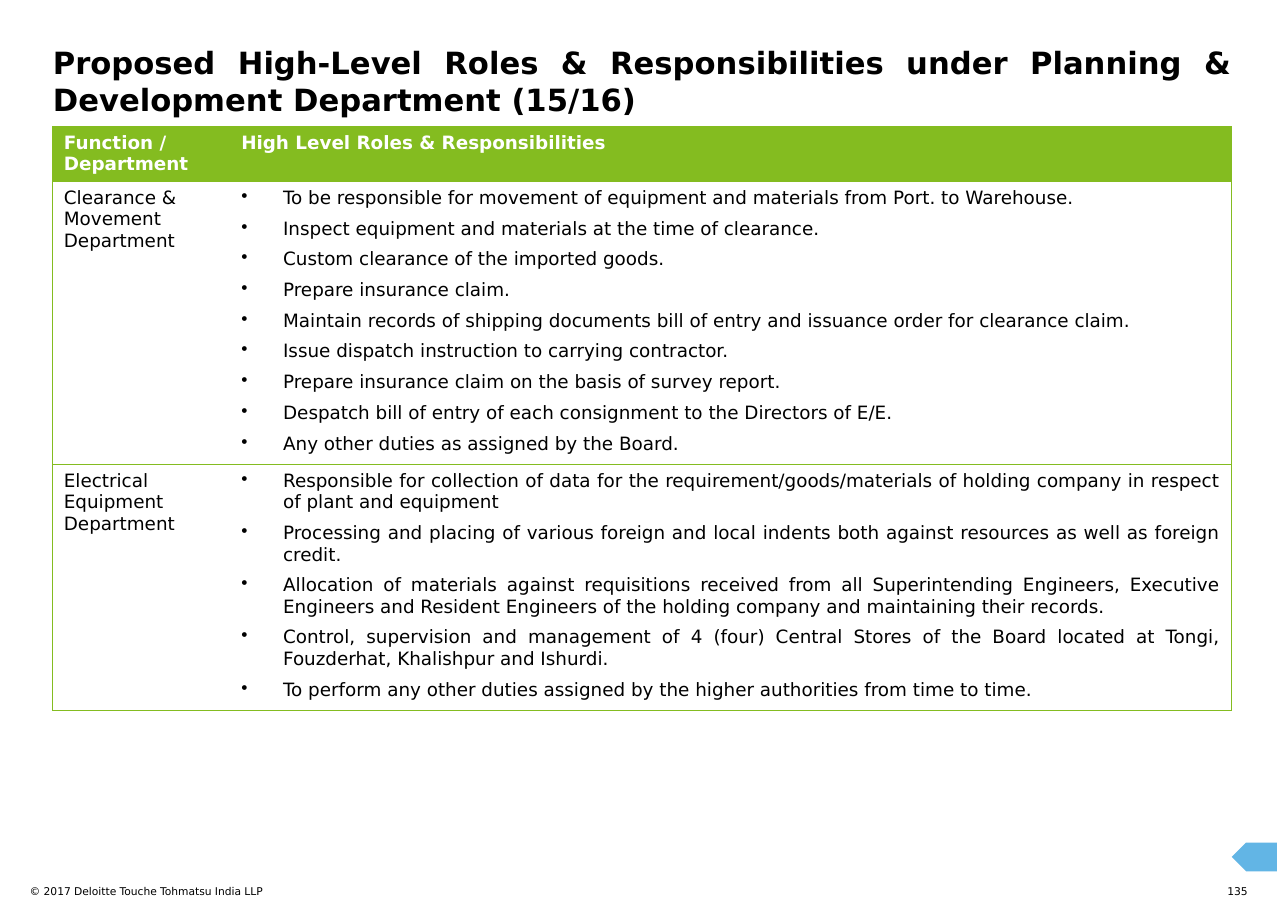
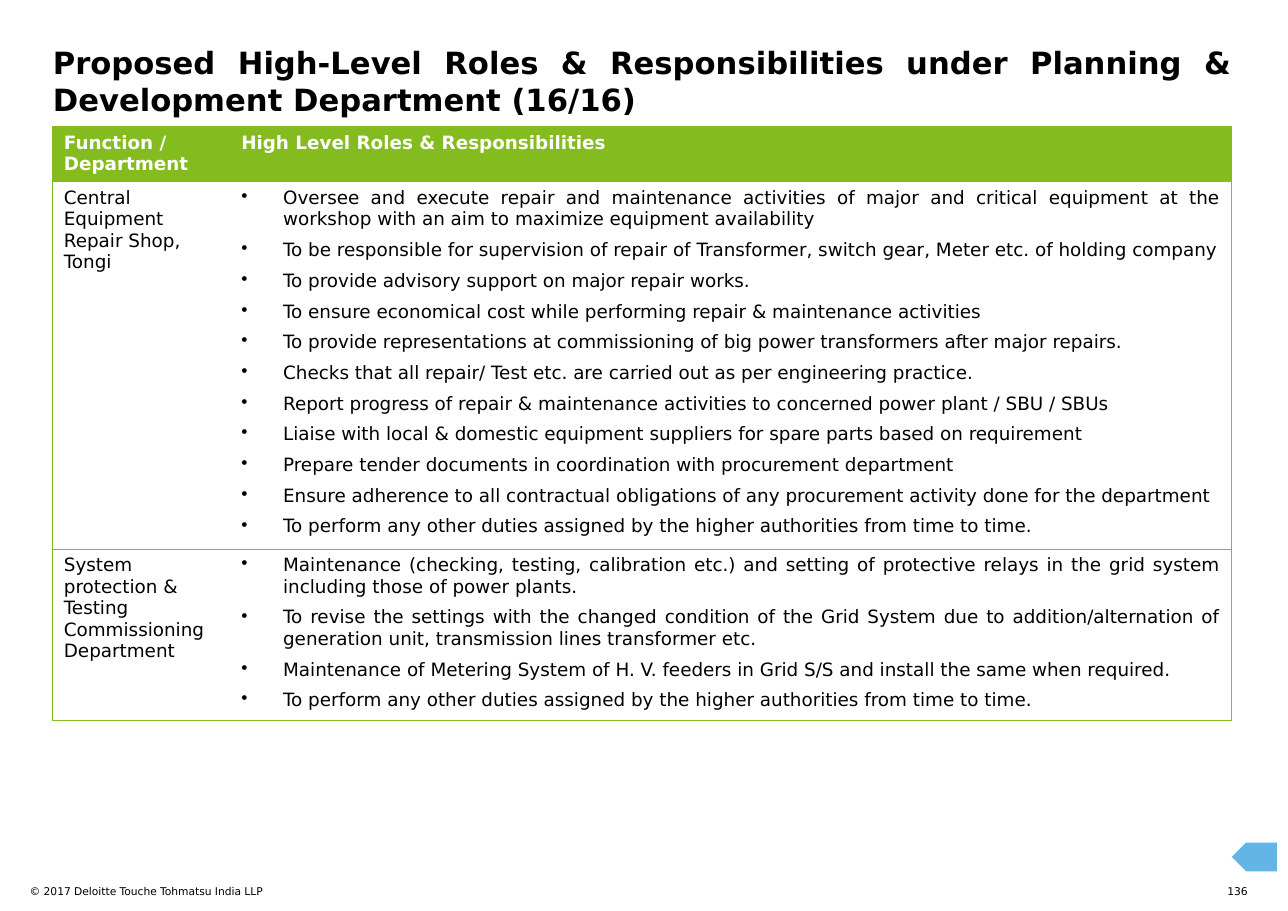
from lxml.etree import SubElement
from pptx import Presentation
from pptx.dml.color import RGBColor
from pptx.enum.shapes import MSO_SHAPE as Preset
from pptx.enum.text import PP_ALIGN as Align
from pptx.oxml.ns import qn
from pptx.util import Inches, Pt

GREEN = RGBColor(0x84, 0xBC, 0x20)
BLUE = RGBColor(0x62, 0xB5, 0xE5)
BLACK = RGBColor(0, 0, 0)
WHITE = RGBColor(0xFF, 0xFF, 0xFF)
FONT = "DejaVu Sans"

SLIDE_W, SLIDE_H = Inches(11.69), Inches(8.27)
MARGIN = Inches(0.48)
COLUMNS = (Inches(1.61), Inches(9.09))
CONTENT_W = sum(COLUMNS)
TITLE_TOP, TABLE_TOP, FOOTER_TOP = Inches(0.4), Inches(1.15), Inches(8.03)
HEADER_H = Inches(0.5)
BULLET_INDENT = Inches(0.38)
BODY_SIZE, FOOTER_SIZE = 12, 7

TITLE = "Proposed High-Level Roles & Responsibilities under Planning & Development Department"
HEADERS = ("Function / Department", "High Level Roles & Responsibilities")
COPYRIGHT = "© 2017 Deloitte Touche Tohmatsu India LLP"
FIRST_PAGE, FIRST_PART, PARTS = 135, 15, 16
OTHER_DUTIES = "To perform any other duties assigned by the higher authorities from time to time."

# Each slide lists (department, row height in inches, duties).
SLIDES = [
    [
        ("Clearance & Movement Department", 2.52, [
            "To be responsible for movement of equipment and materials from Port. to Warehouse.",
            "Inspect equipment and materials at the time of clearance.",
            "Custom clearance of the imported goods.",
            "Prepare insurance claim.",
            "Maintain records of shipping documents bill of entry and issuance order for clearance claim.",
            "Issue dispatch instruction to carrying contractor.",
            "Prepare insurance claim on the basis of survey report.",
            "Despatch bill of entry of each consignment to the Directors of E/E.",
            "Any other duties as assigned by the Board.",
        ]),
        ("Electrical Equipment Department", 2.18, [
            "Responsible for collection of data for the requirement/goods/materials of holding company "
            "in respect of plant and equipment",
            "Processing and placing of various foreign and local indents both against resources "
            "as well as foreign credit.",
            "Allocation of materials against requisitions received from all Superintending Engineers, "
            "Executive Engineers and Resident Engineers of the holding company and maintaining their records.",
            "Control, supervision and management of 4 (four) Central Stores of the Board located at "
            "Tongi, Fouzderhat, Khalishpur and Ishurdi.",
            OTHER_DUTIES,
        ]),
    ],
    [
        ("Central Equipment Repair Shop, Tongi", 3.27, [
            "Oversee and execute repair and maintenance activities of major and critical equipment at "
            "the workshop with an aim to maximize equipment availability",
            "To be responsible for supervision of repair of Transformer, switch gear, Meter etc. "
            "of holding company",
            "To provide advisory support on major repair works.",
            "To ensure economical cost while performing repair & maintenance activities",
            "To provide representations at commissioning of big power transformers after major repairs.",
            "Checks that all repair/ Test etc. are carried out as per engineering practice.",
            "Report progress of repair & maintenance activities to concerned power plant / SBU / SBUs",
            "Liaise with local & domestic equipment suppliers for spare parts based on requirement",
            "Prepare tender documents in coordination with procurement department",
            "Ensure adherence to all contractual obligations of any procurement activity done "
            "for the department",
            OTHER_DUTIES,
        ]),
        ("System protection & Testing Commissioning Department", 1.52, [
            "Maintenance (checking, testing, calibration etc.) and setting of protective relays in "
            "the grid system including those of power plants.",
            "To revise the settings with the changed condition of the Grid System due to "
            "addition/alternation of generation unit, transmission lines transformer etc.",
            "Maintenance of Metering System of H. V. feeders in Grid S/S and install the same when required.",
            OTHER_DUTIES,
        ]),
    ],
]


def add_run(paragraph, text, size, color=BLACK, bold=False):
    run = paragraph.add_run()
    run.text = text
    font = run.font
    font.name, font.size, font.bold = FONT, Pt(size), bold
    font.color.rgb = color


def add_line(slide, box, text, size, align=Align.LEFT, bold=False):
    """Add one paragraph in a text box without insets."""
    frame = slide.shapes.add_textbox(*box).text_frame
    frame.word_wrap = True
    frame.margin_left = frame.margin_right = frame.margin_top = frame.margin_bottom = 0
    paragraph = frame.paragraphs[0]
    paragraph.alignment = align
    add_run(paragraph, text, size, bold=bold)
    return paragraph


def add_title(slide, part):
    box = (MARGIN, TITLE_TOP, CONTENT_W, Inches(0.7))
    title = add_line(slide, box, f"{TITLE} ({part}/{PARTS})", 20, Align.JUSTIFY, bold=True)
    title.line_spacing = Pt(24)


def add_footer(slide, page):
    add_line(slide, (Inches(0.27), FOOTER_TOP, Inches(5.13), Inches(0.24)), COPYRIGHT, FOOTER_SIZE)
    add_line(slide, (Inches(11.14), FOOTER_TOP, Inches(0.4), Inches(0.12)), str(page), FOOTER_SIZE)


def add_back_arrow(slide):
    arrow = slide.shapes.add_shape(
        Preset.PENTAGON, MARGIN + CONTENT_W, Inches(7.65), Inches(0.41), Inches(0.26))
    arrow.shadow.inherit = False
    arrow.fill.solid()
    arrow.fill.fore_color.rgb = BLUE
    arrow.line.fill.background()
    arrow.element.spPr.xfrm.set("flipH", "1")


def set_borders(cell, is_first, is_last):
    """Rule every edge of a cell except the one between the two columns."""
    tc_pr = cell._tc.get_or_add_tcPr()
    for side, ruled in (("L", is_first), ("R", is_last), ("T", True), ("B", True)):
        line = SubElement(tc_pr, qn(f"a:ln{side}"), w=str(Pt(0.75)))
        if ruled:
            fill = SubElement(line, qn("a:solidFill"))
            SubElement(fill, qn("a:srgbClr"), val=str(GREEN))
        else:
            SubElement(line, qn("a:noFill"))


def fill_bullets(frame, duties):
    for index, duty in enumerate(duties):
        paragraph = frame.add_paragraph() if index else frame.paragraphs[0]
        p_pr = paragraph._p.get_or_add_pPr()
        p_pr.set("marL", str(BULLET_INDENT))
        p_pr.set("indent", str(-BULLET_INDENT))
        SubElement(p_pr, qn("a:buChar"), char="•")
        paragraph.alignment = Align.JUSTIFY
        if index:
            paragraph.space_before = Pt(6)
        add_run(paragraph, duty, BODY_SIZE)


def add_roles_table(slide, departments):
    heights = [HEADER_H] + [Inches(height) for _, height, _ in departments]
    table = slide.shapes.add_table(
        len(heights), len(COLUMNS), MARGIN, TABLE_TOP, CONTENT_W, sum(heights)).table
    table.first_row = table.horz_banding = False
    for column, width in zip(table.columns, COLUMNS):
        column.width = width
    for row_index, height in enumerate(heights):
        row = table.rows[row_index]
        row.height = height
        for column_index, cell in enumerate(row.cells):
            set_borders(cell, column_index == 0, column_index == len(COLUMNS) - 1)
            if row_index == 0:
                cell.fill.solid()
                cell.fill.fore_color.rgb = GREEN
                add_run(cell.text_frame.paragraphs[0], HEADERS[column_index], BODY_SIZE, WHITE, bold=True)
            else:
                cell.fill.background()
    for row_index, (department, _, duties) in enumerate(departments, start=1):
        add_run(table.cell(row_index, 0).text_frame.paragraphs[0], department, BODY_SIZE)
        fill_bullets(table.cell(row_index, 1).text_frame, duties)


def main():
    deck = Presentation()
    deck.slide_width, deck.slide_height = SLIDE_W, SLIDE_H
    for index, departments in enumerate(SLIDES):
        slide = deck.slides.add_slide(deck.slide_layouts[6])
        add_footer(slide, FIRST_PAGE + index)
        add_roles_table(slide, departments)
        add_title(slide, FIRST_PART + index)
        add_back_arrow(slide)
    deck.save("out.pptx")


if __name__ == "__main__":
    main()
